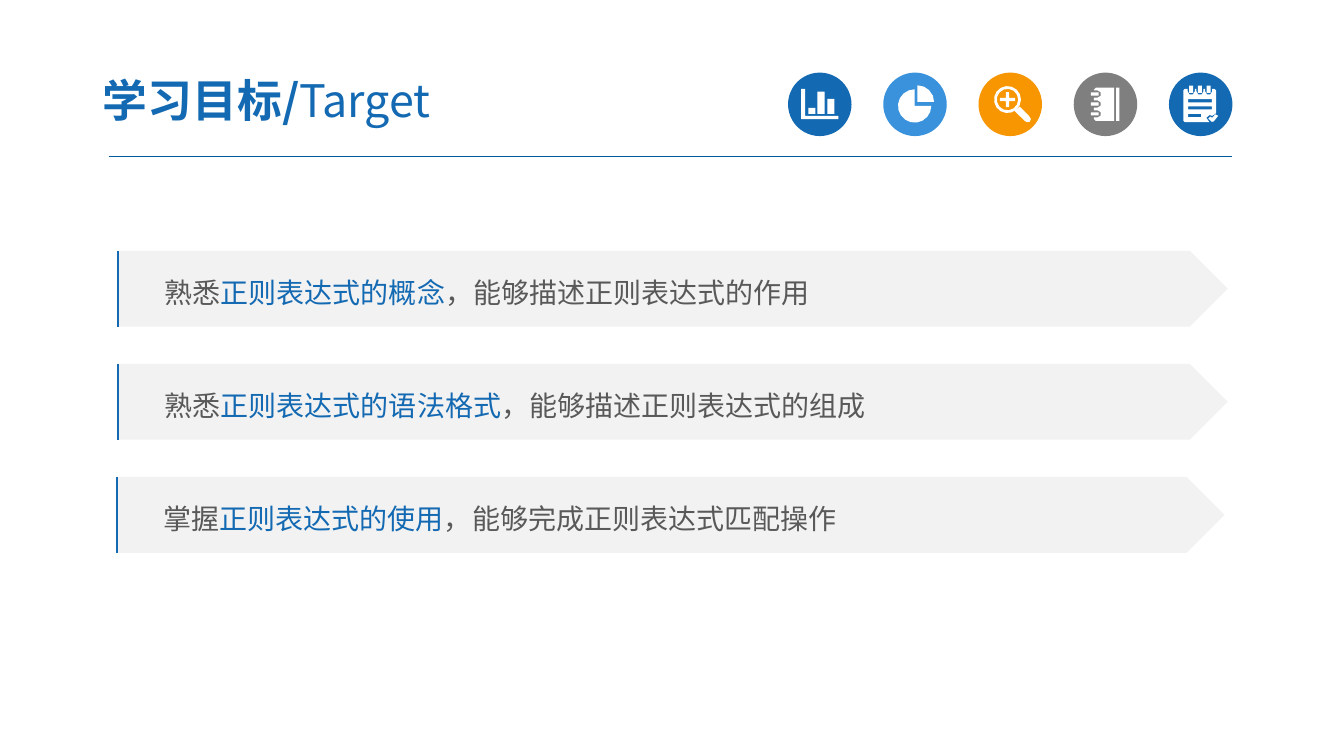
import math
from dataclasses import dataclass

import pptx
import pptx.dml.color
import pptx.enum.shapes
import pptx.enum.text
import pptx.oxml.ns
import pptx.util
from lxml import etree
from pptx.util import Cm

MSO_SHAPE = pptx.enum.shapes.MSO_SHAPE
Point = tuple[float, float]
Contour = list[Point]


@dataclass(frozen=True)
class Theme:
    blue: str = "1369B2"
    sky: str = "3992DB"
    orange: str = "F79600"
    grey: str = "7F7F7F"
    rule: str = "005B9E"
    banner: str = "F2F2F2"
    body: str = "595959"
    white: str = "FFFFFF"
    font: str = "Noto Sans CJK SC"
    title_size: int = 32
    body_size: int = 20


@dataclass(frozen=True)
class Icon:
    colour: str
    contours: list[Contour]


@dataclass(frozen=True)
class Goal:
    verb: str
    topic: str
    outcome: str
    left: float = 2.95
    width: float = 27.99


THEME = Theme()
DISC_LEFT, DISC_TOP, DISC_SIZE, DISC_STEP = 19.86, 1.83, 1.6, 2.4
BANNER_TOP, BANNER_HEIGHT, BANNER_STEP = 6.32, 1.91, 2.85


def arc(cx: float, cy: float, radius: float, start: float, end: float) -> Contour:
    """Points along an arc; degrees run clockwise from the right."""
    steps = round(abs(end - start) / 90 * (1 + radius * 8))
    angles = [math.radians(start + (end - start) * i / steps) for i in range(steps + 1)]
    return [(cx + radius * math.cos(a), cy + radius * math.sin(a)) for a in angles]


def block(x: float, y: float, width: float, height: float) -> Contour:
    return [(x, y), (x + width, y), (x + width, y + height), (x, y + height)]


def bar_chart() -> list[Contour]:
    axes = [(0.33, 0.41), (0.43, 0.41), (0.43, 1.09), (1.27, 1.09), (1.27, 1.17), (0.33, 1.17)]
    bars = [(0.51, 0.89), (0.74, 0.48), (0.99, 0.66)]
    return [axes] + [block(x, top, 0.18, 1.04 - top) for x, top in bars]


def pie_chart() -> list[Contour]:
    return [[(0.86, 0.74)] + arc(0.86, 0.74, 0.42, -90, 0),
            [(0.79, 0.84)] + arc(0.79, 0.84, 0.42, 0, 270)]


def magnifier() -> list[Contour]:
    cx, cy, reach, half = 0.73, 0.68, 0.19, 0.04
    plus = [(-reach, -half), (-half, -half), (-half, -reach), (half, -reach),
            (half, -half), (reach, -half), (reach, half), (half, half),
            (half, reach), (-half, reach), (-half, half), (-reach, half)]
    handle = [(0.91, 0.97), (0.98, 0.92), (1.04, 0.86), (1.27, 1.09), (1.32, 1.17),
              (1.29, 1.24), (1.22, 1.25), (1.17, 1.22)]
    return [arc(cx, cy, 0.34, 0, 360), arc(cx, cy, 0.27, 0, 360),
            [(cx + x, cy + y) for x, y in plus], handle]


def notebook() -> list[Contour]:
    ring_rows = [0.54, 0.79, 1.04]
    cover = [(1.02, 1.22), (1.02, 0.38), (0.56, 0.38), (0.51, 0.43)]
    for y in ring_rows:
        cover += [(0.51, y - 0.09), *arc(0.6, y, 0.09, -90, 90), (0.51, y + 0.09)]
    cover += [(0.51, 1.17), (0.56, 1.22)]
    rings = [block(0.43, y - 0.04, 0.2, 0.08) for y in ring_rows]
    return [cover, block(1.07, 0.38, 0.08, 0.84)] + rings


def notepad() -> list[Contour]:
    pin_columns = [0.56, 0.78, 1.0]
    page = [(0.36, 1.21), (0.36, 0.45), (0.4, 0.41)]
    for x in pin_columns:
        page += [(x - 0.09, 0.41), *arc(x, 0.47, 0.09, 180, 0), (x + 0.09, 0.41)]
    page += [(1.15, 0.41), (1.19, 0.45), (1.19, 1.02), (1.09, 1.09), (1.02, 1.07),
             (0.94, 1.14), (1.02, 1.25), (0.4, 1.25)]
    tick = [(0.99, 1.16), (1.04, 1.11), (1.09, 1.14), (1.17, 1.05), (1.24, 1.09),
            (1.13, 1.23), (1.08, 1.24)]
    lines = [block(0.48, y, width, 0.08)
             for y, width in [(0.67, 0.6), (0.85, 0.6), (1.04, 0.33)]]
    pins = [block(x - 0.05, 0.33, 0.1, 0.18) for x in pin_columns]
    return [page, tick] + lines + pins


ICONS = [Icon(THEME.blue, bar_chart()), Icon(THEME.sky, pie_chart()),
         Icon(THEME.orange, magnifier()), Icon(THEME.grey, notebook()),
         Icon(THEME.blue, notepad())]
GOALS = [
    Goal("熟悉", "正则表达式的概念", "，能够描述正则表达式的作用"),
    Goal("熟悉", "正则表达式的语法格式", "，能够描述正则表达式的组成"),
    Goal("掌握", "正则表达式的使用", "，能够完成正则表达式匹配操作", left=2.92, width=27.94),
]


def rgb(colour: str) -> pptx.dml.color.RGBColor:
    return pptx.dml.color.RGBColor.from_string(colour)


def paint(shape, colour: str) -> None:
    shape.shadow.inherit = False
    shape.fill.solid()
    shape.fill.fore_color.rgb = rgb(colour)
    shape.line.fill.background()


def add_text(paragraph, text: str, *, size: int, colour: str, bold: bool = False) -> None:
    run = paragraph.add_run()
    run.text = text
    run.font.size = pptx.util.Pt(size)
    run.font.bold = bold
    run.font.color.rgb = rgb(colour)
    run.font.name = THEME.font
    east_asian = etree.SubElement(run.font._element, pptx.oxml.ns.qn("a:ea"))
    east_asian.set("typeface", THEME.font)


def add_line(slide, start: Point, end: Point, colour: str, width: float) -> None:
    line = slide.shapes.add_connector(
        pptx.enum.shapes.MSO_CONNECTOR.STRAIGHT, *map(Cm, start + end))
    line.line.color.rgb = rgb(colour)
    line.line.width = pptx.util.Pt(width)
    etree.SubElement(line._element.spPr, pptx.oxml.ns.qn("a:effectLst"))


def add_icon(slide, icon: Icon, left: float) -> None:
    disc = slide.shapes.add_shape(
        MSO_SHAPE.OVAL, Cm(left), Cm(DISC_TOP), Cm(DISC_SIZE), Cm(DISC_SIZE))
    paint(disc, icon.colour)
    contours = [[(Cm(x), Cm(y)) for x, y in contour] for contour in icon.contours]
    builder = slide.shapes.build_freeform(*contours[0][0])
    builder.add_line_segments(contours[0][1:], close=True)
    for contour in contours[1:]:
        builder.move_to(*contour[0])
        builder.add_line_segments(contour[1:], close=True)
    paint(builder.convert_to_shape(Cm(left), Cm(DISC_TOP)), THEME.white)


def add_goal(slide, goal: Goal, top: float) -> None:
    banner = slide.shapes.add_shape(
        MSO_SHAPE.PENTAGON, Cm(goal.left), Cm(top), Cm(goal.width), Cm(BANNER_HEIGHT))
    paint(banner, THEME.banner)
    frame = banner.text_frame
    frame.word_wrap = True
    frame.margin_left = Cm(1.2)
    frame.vertical_anchor = pptx.enum.text.MSO_ANCHOR.MIDDLE
    paragraph = frame.paragraphs[0]
    paragraph.alignment = pptx.enum.text.PP_ALIGN.LEFT
    paragraph.line_spacing = 1.2
    for text, colour in [(goal.verb, THEME.body), (goal.topic, THEME.blue),
                         (goal.outcome, THEME.body)]:
        add_text(paragraph, text, size=THEME.body_size, colour=colour)
    edge = goal.left + 0.03
    add_line(slide, (edge, top), (edge, top + BANNER_HEIGHT), THEME.blue, 1.5)


def add_title(slide) -> None:
    title = slide.shapes.title
    title.left, title.top, title.width, title.height = map(Cm, (2.26, 1.6, 13.26, 1.83))
    frame = title.text_frame
    frame.auto_size = pptx.enum.text.MSO_AUTO_SIZE.NONE
    frame.margin_left = frame.margin_right = Cm(0.33)
    frame.margin_top = frame.margin_bottom = Cm(0.18)
    frame.vertical_anchor = pptx.enum.text.MSO_ANCHOR.MIDDLE
    paragraph = frame.paragraphs[0]
    paragraph.alignment = pptx.enum.text.PP_ALIGN.LEFT
    add_text(paragraph, "学习目标/", size=THEME.title_size, colour=THEME.blue, bold=True)
    add_text(paragraph, "Target", size=THEME.title_size, colour=THEME.blue)


def main() -> None:
    deck = pptx.Presentation()
    deck.slide_width, deck.slide_height = Cm(33.87), Cm(19.05)
    slide = deck.slides.add_slide(deck.slide_layouts[5])
    add_title(slide)
    add_line(slide, (2.74, 3.94), (31.06, 3.94), THEME.rule, 0.75)
    for column, icon in enumerate(ICONS):
        add_icon(slide, icon, DISC_LEFT + column * DISC_STEP)
    for row, goal in enumerate(GOALS):
        add_goal(slide, goal, BANNER_TOP + row * BANNER_STEP)
    deck.save("out.pptx")


if __name__ == "__main__":
    main()
